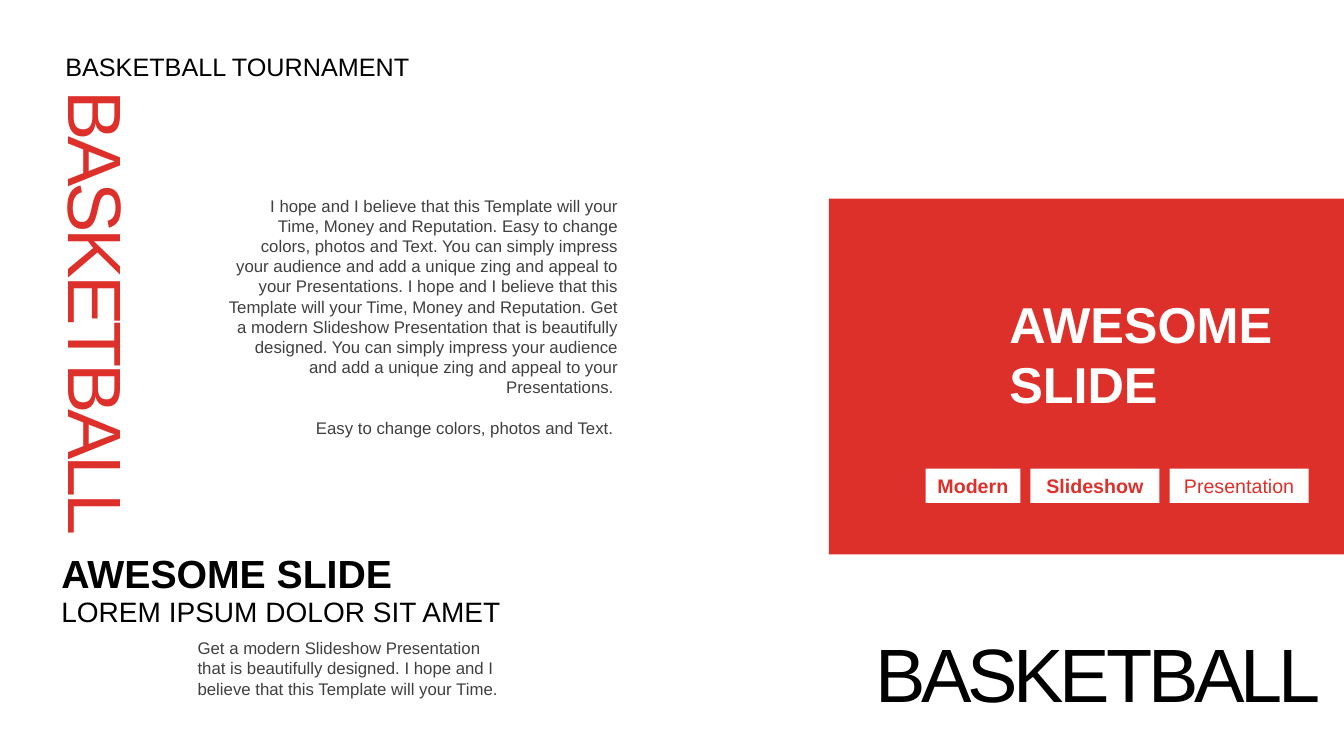
from pptx import Presentation
from pptx.dml.color import RGBColor
from pptx.enum.shapes import MSO_SHAPE as Preset
from pptx.enum.text import MSO_ANCHOR as Anchor, MSO_AUTO_SIZE as AutoSize, PP_ALIGN as Align
from pptx.util import Inches, Pt

RED, WHITE, BLACK, GREY = "DE302A", "FFFFFF", "000000", "404040"
TAG_LEFT, TAG_TOP, TAG_HEIGHT, TAG_GAP = 9.18, 4.65, 0.34, 0.1
TAGS = [("Modern", 0.94, True), ("Slideshow", 1.28, True), ("Presentation", 1.38, False)]
INTRO = [
    "I hope and I believe that this Template will your Time, Money and Reputation. "
    "Easy to change colors, photos and Text. You can simply impress your audience and "
    "add a unique zing and appeal to your Presentations. I hope and I believe that this "
    "Template will your Time, Money and Reputation. Get a modern Slideshow Presentation "
    "that is beautifully designed. You can simply impress your audience and add a unique "
    "zing and appeal to your Presentations. ",
    "Easy to change colors, photos and Text. ",
]
SUMMARY = ("Get a modern Slideshow Presentation that is beautifully designed. "
           "I hope and I believe that this Template will your Time.")


def color(hex_code):
    return RGBColor.from_string(hex_code)


def write(shape, lines, size, hex_code, bold=False, align=Align.LEFT,
          anchor=Anchor.MIDDLE, tracking=0, gap=0):
    """Fill a shape with one formatted paragraph per line; gap separates them in points."""
    frame = shape.text_frame
    frame.word_wrap = True
    frame.auto_size = AutoSize.SHAPE_TO_FIT_TEXT
    frame.vertical_anchor = anchor
    for index, line in enumerate(lines):
        paragraph = frame.add_paragraph() if index else frame.paragraphs[0]
        paragraph.alignment = align
        if index and gap:
            paragraph.space_before = Pt(gap)
        run = paragraph.add_run()
        run.text = line
        font = run.font
        font.name, font.size, font.bold = "Arial", Pt(size), bold
        font.color.rgb = color(hex_code)
        if tracking:
            run._r.get_or_add_rPr().set("spc", str(tracking * 100))


def add_text(slide, left, top, width, height, lines, size, hex_code, **style):
    box = slide.shapes.add_textbox(Inches(left), Inches(top), Inches(width), Inches(height))
    write(box, lines, size, hex_code, **style)
    return box


def add_block(slide, left, top, width, height, hex_code):
    block = slide.shapes.add_shape(Preset.RECTANGLE, Inches(left), Inches(top),
                                   Inches(width), Inches(height))
    block.shadow.inherit = False
    block.fill.solid()
    block.fill.fore_color.rgb = color(hex_code)
    block.line.fill.background()
    return block


def add_title(slide):
    title = slide.shapes.title
    title.left, title.top = Inches(9.91), Inches(2.85)
    title.width, title.height = Inches(2.95), Inches(1.31)
    write(title, ["AWESOME", "SLIDE"], 36, WHITE, bold=True)
    return title


def add_tags(slide):
    left = TAG_LEFT
    for label, width, bold in TAGS:
        tag = add_block(slide, left, TAG_TOP, width, TAG_HEIGHT, WHITE)
        write(tag, [label], 14, RED, bold=bold, align=Align.CENTER, anchor=Anchor.TOP)
        left += width + TAG_GAP


def main():
    presentation = Presentation()
    presentation.slide_width, presentation.slide_height = Inches(13.33), Inches(7.5)
    slide = presentation.slides.add_slide(presentation.slide_layouts[5])

    panel = add_block(slide, 8.22, 1.97, 5.11, 3.53, RED)
    title = add_title(slide)
    title._element.addprevious(panel._element)
    add_tags(slide)

    vertical_word = add_text(slide, -1.52, 2.6, 4.99, 1.01, ["BASKETBALL"], 54, RED,
                             align=Align.CENTER, tracking=-3)
    vertical_word.rotation = 90
    add_text(slide, 8.58, 6.16, 4.78, 1.01, ["BASKETBALL"], 54, BLACK, tracking=-3)

    add_text(slide, 0.51, 5.84, 4.8, 0.44, ["LOREM IPSUM DOLOR SIT AMET"], 20, BLACK)
    add_text(slide, 0.51, 5.4, 4.55, 0.57, ["AWESOME SLIDE"], 28, BLACK, bold=True)
    add_text(slide, 0.55, 0.46, 6.66, 0.4, ["BASKETBALL TOURNAMENT"], 18, BLACK)

    add_text(slide, 2.14, 1.89, 4.09, 2.52, INTRO, 12, GREY, align=Align.RIGHT,
             anchor=Anchor.TOP, gap=14.4)
    summary = add_text(slide, 1.96, 6.28, 3.09, 0.71, [SUMMARY], 12, GREY, anchor=Anchor.TOP)
    summary.text_frame.margin_left = Inches(0)

    presentation.save("out.pptx")


if __name__ == "__main__":
    main()
